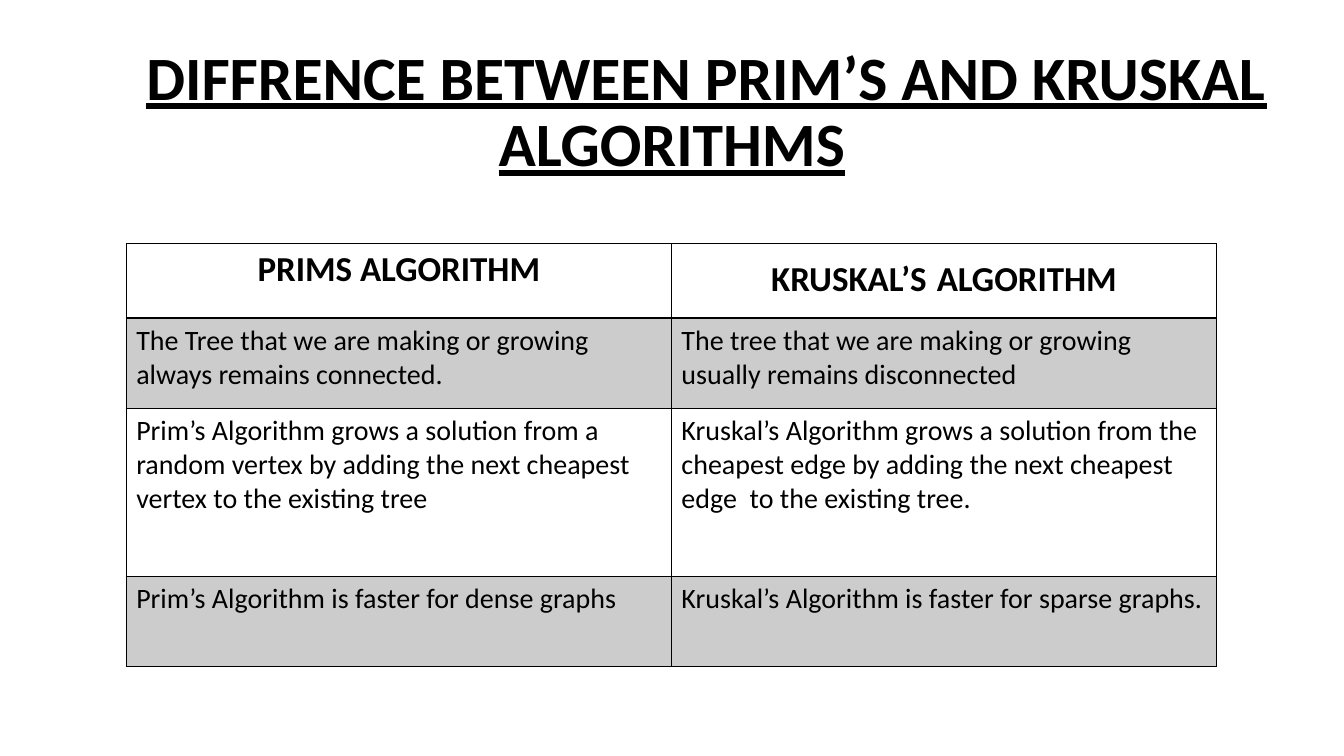
import pptx
import pptx.dml.color
import pptx.enum.text
import pptx.oxml
import pptx.oxml.ns
import pptx.util

Cm = pptx.util.Cm
Pt = pptx.util.Pt
CENTER = pptx.enum.text.PP_ALIGN.CENTER

# Content: each cell is a list of (text, size) spans
TITLE = "DIFFRENCE BETWEEN PRIM’S AND KRUSKAL ALGORITHMS"
HEADINGS = [
    [("PRIMS ALGORITHM", 25)],
    [("KRUSKAL’S", 25), (" ", 32), ("ALGORITHM", 25)],
]
COMPARISONS = [
    ("The Tree that we are making or growing always remains connected.",
     "The tree that we are making or growing usually remains disconnected"),
    ("Prim’s Algorithm grows a solution from a random vertex by adding "
     "the next cheapest vertex to the existing tree",
     "Kruskal’s Algorithm grows a solution from the cheapest edge by adding "
     "the next cheapest edge  to the existing tree."),
    ("Prim’s Algorithm is faster for dense graphs",
     "Kruskal’s Algorithm is faster for sparse graphs."),
]
ROWS = [HEADINGS] + [[[(text, 20)] for text in pair] for pair in COMPARISONS]

# Layout and colours
TITLE_BOX = (Cm(0), Cm(1.02), Cm(33.87), Cm(3.68))
TITLE_INDENT = Cm(1.75)
TABLE_LEFT, TABLE_TOP = Cm(3.18), Cm(6.14)
COLUMN_WIDTH = Cm(13.74)
ROW_HEIGHTS = [Cm(1.88), Cm(2.27), Cm(4.24), Cm(2.27)]
BLACK, BAND = "000000", "CCCCCC"


def colour(value):
    return pptx.dml.color.RGBColor.from_string(value)


def add_span(para, text, **formats):
    span = para.add_run()
    span.text = text
    span.font.color.rgb = colour(BLACK)
    for name, value in {"name": "Calibri", **formats}.items():
        setattr(span.font, name, value)


def add_borders(cell, bottom):
    properties = cell._tc.get_or_add_tcPr()
    for side, points in {"L": 1, "R": 1, "T": 1, "B": bottom}.items():
        properties.append(pptx.oxml.parse_xml(
            f'<a:ln{side} {pptx.oxml.ns.nsdecls("a")} w="{Pt(points)}">'
            f'<a:solidFill><a:srgbClr val="{BLACK}"/></a:solidFill></a:ln{side}>'))


deck = pptx.Presentation()
deck.slide_width, deck.slide_height = Cm(33.87), Cm(19.05)
page = deck.slides.add_slide(deck.slide_layouts[5])

# Title, with its first line shifted right
title = page.shapes.title
title.left, title.top, title.width, title.height = TITLE_BOX
title.text_frame.word_wrap = True
title.text_frame.auto_size = pptx.enum.text.MSO_AUTO_SIZE.NONE
title.text_frame.vertical_anchor = pptx.enum.text.MSO_ANCHOR.MIDDLE
heading = title.text_frame.paragraphs[0]
heading.alignment = CENTER
heading.line_spacing = 0.9
heading_properties = heading._p.get_or_add_pPr()
heading_properties.set("marL", "0")
heading_properties.set("indent", str(TITLE_INDENT))
add_span(heading, TITLE, size=Pt(44), bold=True, underline=True)

# Comparison table
columns = len(HEADINGS)
table = page.shapes.add_table(len(ROWS), columns, TABLE_LEFT, TABLE_TOP,
                              COLUMN_WIDTH * columns, sum(ROW_HEIGHTS)).table
table.horz_banding = False
for column in table.columns:
    column.width = COLUMN_WIDTH

for row_index, row in enumerate(ROWS):
    is_header = row_index == 0
    table.rows[row_index].height = ROW_HEIGHTS[row_index]
    for column_index, spans in enumerate(row):
        cell = table.cell(row_index, column_index)
        add_borders(cell, bottom=2 if is_header else 1)
        if row_index % 2:
            cell.fill.solid()
            cell.fill.fore_color.rgb = colour(BAND)
        else:
            cell.fill.background()
        para = cell.text_frame.paragraphs[0]
        if is_header:
            para.alignment = CENTER
        for text, size in spans:
            add_span(para, text, size=Pt(size), bold=is_header)

deck.save("out.pptx")
